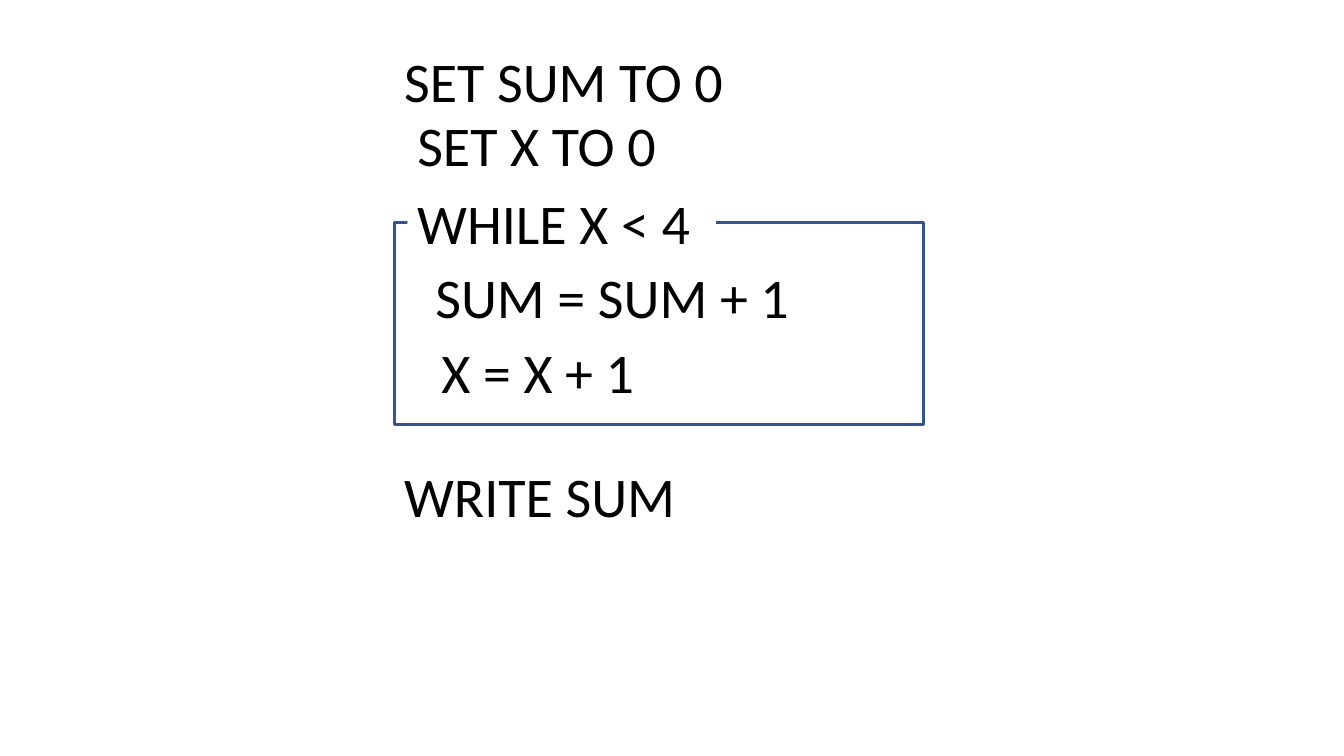
from dataclasses import dataclass

from pptx import Presentation
from pptx.dml.color import RGBColor
from pptx.enum.shapes import MSO_SHAPE
from pptx.enum.text import MSO_AUTO_SIZE, PP_ALIGN
from pptx.util import Emu, Pt

RECT = MSO_SHAPE.RECTANGLE
FIT_SHAPE = MSO_AUTO_SIZE.SHAPE_TO_FIT_TEXT
LEFT = PP_ALIGN.LEFT
PX = 9144
BLANK = 6
LINE_H = 77


@dataclass(frozen=True)
class Theme:
    """Colours, font and sizes of the slide."""
    paper: RGBColor = RGBColor(0xFF, 0xFF, 0xFF)
    ink: RGBColor = RGBColor(0, 0, 0)
    frame: RGBColor = RGBColor(0x32, 0x54, 0x91)
    font: str = "Calibri"
    size: int = 40
    frame_width: float = 2.25


THEME = Theme()


def px(*lengths):
    """Turn px lengths into EMU."""
    return [Emu(n * PX) for n in lengths]


def add_statement(s, text, x, y, w, filled=False):
    """Place one pseudocode line with its top left corner at x, y."""
    box = s.shapes.add_textbox(*px(x, y, w, LINE_H))
    if filled:
        box.fill.solid()
        box.fill.fore_color.rgb = THEME.paper
    tf = box.text_frame
    tf.word_wrap = False
    tf.auto_size = FIT_SHAPE
    p = tf.paragraphs[0]
    p.alignment = LEFT
    r = p.add_run()
    r.text = text
    r.font.color.rgb = THEME.ink
    for name, value in {"name": THEME.font, "size": Pt(THEME.size)}.items():
        setattr(r.font, name, value)


def add_setup(s, x, y):
    """Place the two initial assignments."""
    add_statement(s, "SET SUM TO 0", x, y, 352)
    add_statement(s, "SET X TO 0", x + 13, y + 64, 272)


def add_loop(s, x, y, w, h):
    """Draw the loop frame with its condition set into the top edge."""
    frame = s.shapes.add_shape(RECT, *px(x, y, w, h))
    frame.shadow.inherit = False
    frame.fill.background()
    frame.line.color.rgb = THEME.frame
    frame.line.width = Pt(THEME.frame_width)
    add_statement(s, "WHILE X < 4", x + 13, y - 39, 306, filled=True)
    add_statement(s, "SUM = SUM + 1", x + 31, y + 35, 387)
    add_statement(s, "X = X + 1", x + 37, y + 109, 226)


def main():
    """Build the pseudocode slide and save it."""
    prs = Presentation()
    prs.slide_width, prs.slide_height = px(1333, 750)
    s = prs.slides.add_slide(prs.slide_layouts[BLANK])
    margin = 391
    add_setup(s, margin, 41)
    add_loop(s, margin, 221, 525, 200)
    add_statement(s, "WRITE SUM", margin, 453, 292)
    prs.save("out.pptx")


if __name__ == "__main__":
    main()
